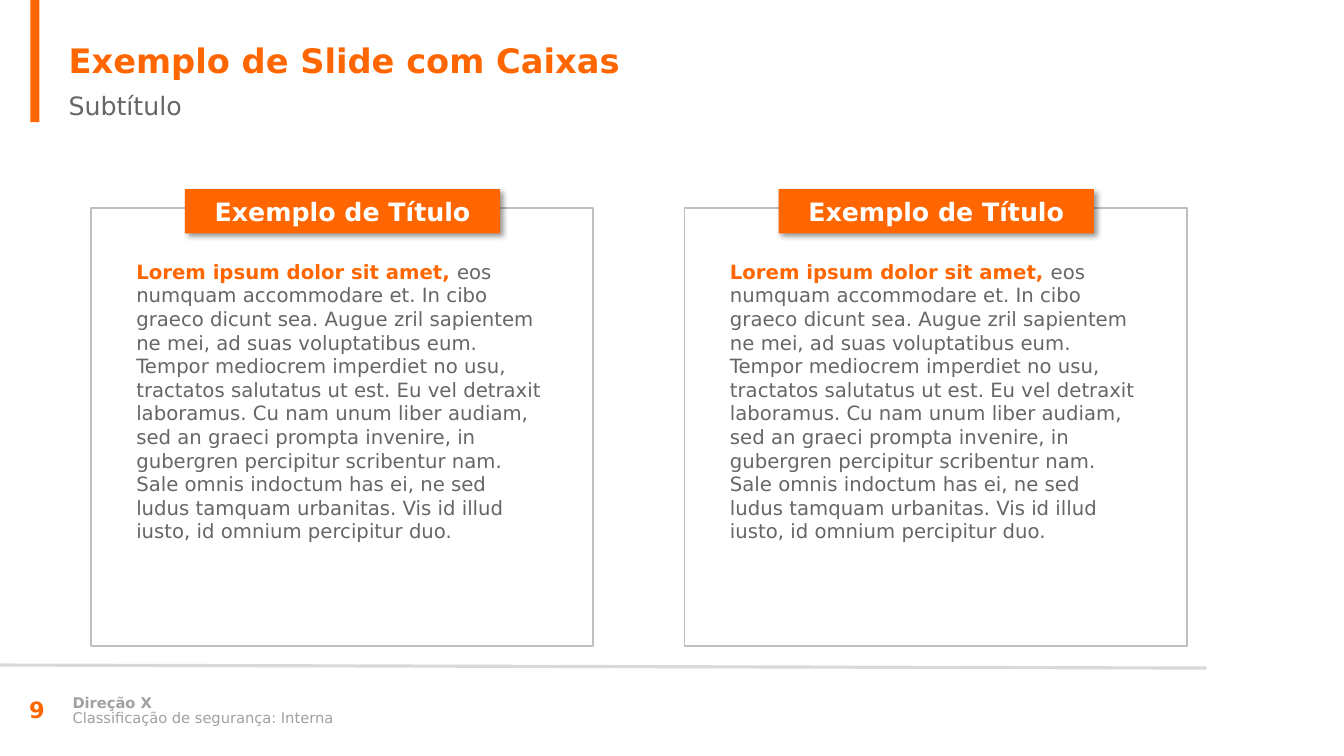
"""Build a slide with two titled text boxes."""
from dataclasses import dataclass

import pptx
import pptx.dml.color
import pptx.enum.shapes
import pptx.enum.text
import pptx.oxml
import pptx.oxml.ns
import pptx.util

RGBColor = pptx.dml.color.RGBColor
ORANGE = RGBColor(0xFF, 0x66, 0x00)
WHITE = RGBColor(0xFF, 0xFF, 0xFF)
GREY = RGBColor(0x66, 0x66, 0x66)
PALE = RGBColor(0xA1, 0xA1, 0xA1)
FRAME = RGBColor(0xBF, 0xBF, 0xBF)
RULE = RGBColor(0xD9, 0xD9, 0xD9)
FONT = "DejaVu Sans"
WIDE = pptx.util.Inches(13.3)
HIGH = pptx.util.Inches(7.48)
PITCH = 44.17
SHADOW = (
    f'<a:outerShdw {pptx.oxml.ns.nsdecls("a")} blurRad="50800" dist="38100" '
    'dir="2700000" algn="tl" rotWithShape="0"><a:srgbClr val="000000">'
    '<a:alpha val="40000"/></a:srgbClr></a:outerShdw>'
)


@dataclass(frozen=True)
class Area:
    """A place on the slide, in percent of its width and height."""
    left: float
    top: float
    width: float
    height: float

    def shift(self, step: float) -> "Area":
        """Return the same area moved to the right."""
        return Area(self.left + step, self.top, self.width, self.height)

    def box(self) -> tuple[int, int, int, int]:
        """Return the area in slide units."""
        return (across(self.left), down(self.top),
                across(self.width), down(self.height))


@dataclass(frozen=True)
class Run:
    """A stretch of text in one colour and weight."""
    text: str
    color: RGBColor
    bold: bool = False


@dataclass(frozen=True)
class Label:
    """A line of text with its place and format."""
    area: Area
    run: Run
    size: float
    middle: bool = False
    spacing: float = 1.0


@dataclass(frozen=True)
class Card:
    """A framed box with a title tab and a body."""
    title: str
    lead: str
    body: str


LOREM = Card(
    "Exemplo de Título",
    "Lorem ipsum dolor sit amet, ",
    "eos numquam accommodare et. In cibo graeco dicunt sea. Augue zril "
    "sapientem ne mei, ad suas voluptatibus eum. Tempor mediocrem imperdiet "
    "no usu, tractatos salutatus ut est. Eu vel detraxit laboramus. Cu nam "
    "unum liber audiam, sed an graeci prompta invenire, in gubergren "
    "percipitur scribentur nam. Sale omnis indoctum has ei, ne sed ludus "
    "tamquam urbanitas. Vis id illud iusto, id omnium percipitur duo.",
)
CARDS = [LOREM, LOREM]
LABELS = [
    Label(Area(4.36, 4.55, 93.38, 6.68),
          Run("Exemplo de Slide com Caixas", ORANGE, True), 24),
    Label(Area(4.36, 11.23, 93.38, 5.35), Run("Subtítulo", GREY), 18),
    Label(Area(1.43, 91.18, 5.19, 5.35), Run("9", ORANGE, True), 16, True),
    Label(Area(4.66, 91.44, 56.62, 3.34),
          Run("Direção X", PALE, True), 10.5, True, 0.85),
    Label(Area(4.66, 93.45, 56.62, 3.34),
          Run("Classificação de segurança: Interna", PALE), 10.5, True, 0.85),
]


def across(share: float) -> int:
    """Turn a percentage of the width into slide units."""
    return round(WIDE * share / 100)


def down(share: float) -> int:
    """Turn a percentage of the height into slide units."""
    return round(HIGH * share / 100)


def write(shape, *runs: Run, size: float, middle: bool = False,
          center: bool = False, spacing: float = 1.0) -> None:
    """Fill a shape with one paragraph of runs."""
    frame = shape.text_frame
    frame.word_wrap = True
    anchor = pptx.enum.text.MSO_ANCHOR
    frame.vertical_anchor = anchor.MIDDLE if middle else anchor.TOP
    para = frame.paragraphs[0]
    align = pptx.enum.text.PP_ALIGN
    para.alignment = align.CENTER if center else align.LEFT
    para.line_spacing = spacing
    for run in runs:
        part = para.add_run()
        part.text = run.text
        part.font.name = FONT
        part.font.size = pptx.util.Pt(size)
        part.font.bold = run.bold
        part.font.color.rgb = run.color


def block(slide, area: Area, fill: RGBColor | None = None,
          line: RGBColor | None = None):
    """Draw a rectangle with an optional fill and outline."""
    shape = slide.shapes.add_shape(
        pptx.enum.shapes.MSO_SHAPE.RECTANGLE, *area.box())
    shape.shadow.inherit = False
    if fill is None:
        shape.fill.background()
    else:
        shape.fill.solid()
        shape.fill.fore_color.rgb = fill
    if line is None:
        shape.line.fill.background()
    else:
        shape.line.color.rgb = line
        shape.line.width = pptx.util.Pt(1)
    return shape


def rule(slide) -> None:
    """Draw the line above the footer."""
    line = slide.shapes.add_connector(
        pptx.enum.shapes.MSO_CONNECTOR.STRAIGHT,
        0, down(87.97), across(89.77), down(88.37))
    line.line.color.rgb = RULE
    line.line.width = pptx.util.Pt(2.25)
    pptx.oxml.ns.qn("a:effectLst")
    line._element.spPr.append(pptx.oxml.parse_xml(
        f'<a:effectLst {pptx.oxml.ns.nsdecls("a")}/>'))


def draw(slide, card: Card, step: float) -> None:
    """Draw a card at a distance from the first column."""
    block(slide, Area(6.77, 27.54, 37.37, 57.89).shift(step), line=FRAME)
    area = Area(9.4, 33.69, 31.95, 48.93).shift(step)
    text = slide.shapes.add_textbox(*area.box())
    write(text, Run(card.lead, ORANGE, True), Run(card.body, GREY), size=14)
    tab = block(slide, Area(13.76, 25, 23.46, 5.88).shift(step), fill=ORANGE)
    effect = tab._element.spPr.find(pptx.oxml.ns.qn("a:effectLst"))
    effect.append(pptx.oxml.parse_xml(SHADOW))
    write(tab, Run(card.title, WHITE, True), size=18, middle=True, center=True)


def main() -> None:
    """Make the slide and save it."""
    deck = pptx.Presentation()
    deck.slide_width, deck.slide_height = WIDE, HIGH
    slide = deck.slides.add_slide(deck.slide_layouts[6])
    block(slide, Area(2.26, 0, 0.68, 16.18), fill=ORANGE)
    rule(slide)
    for label in LABELS:
        text = slide.shapes.add_textbox(*label.area.box())
        write(text, label.run, size=label.size, middle=label.middle,
              spacing=label.spacing)
    for index, card in enumerate(CARDS):
        draw(slide, card, index * PITCH)
    deck.save("out.pptx")


if __name__ == "__main__":
    main()
